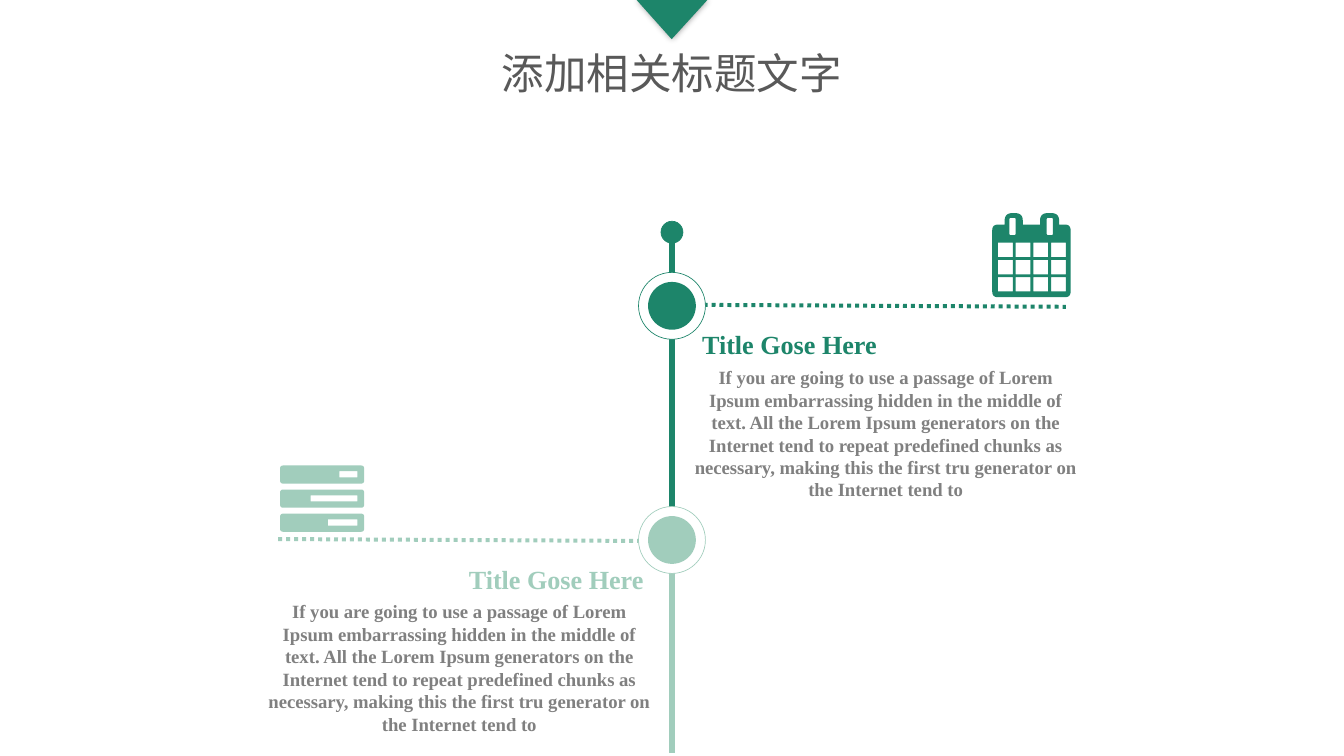
import math
from dataclasses import dataclass

from lxml import etree
from pptx import Presentation
from pptx.dml.color import RGBColor
from pptx.enum.dml import MSO_LINE
from pptx.enum.shapes import MSO_CONNECTOR, MSO_SHAPE
from pptx.enum.text import MSO_ANCHOR, MSO_AUTO_SIZE, PP_ALIGN
from pptx.oxml.ns import qn
from pptx.util import Inches, Pt

OVAL, TRIANGLE = MSO_SHAPE.OVAL, MSO_SHAPE.ISOSCELES_TRIANGLE
STRAIGHT = MSO_CONNECTOR.STRAIGHT
DOTTED = MSO_LINE.ROUND_DOT
CENTER, RIGHT = PP_ALIGN.CENTER, PP_ALIGN.RIGHT
MIDDLE, TOP = MSO_ANCHOR.MIDDLE, MSO_ANCHOR.TOP

COLORS = {
    "dark": "1D856A",
    "light": "A1CDBC",
    "heading": "595959",
    "body": "808080",
    "white": "FFFFFF",
    "shadow": "000000",
}
LATIN, CJK = "Times New Roman", "Noto Sans CJK SC"
DESCRIPTION = (
    "If you are going to use a passage of Lorem Ipsum embarrassing hidden in the "
    "middle of text. All the Lorem Ipsum generators on the Internet tend to repeat "
    "predefined chunks as necessary, making this the first tru generator on the "
    "Internet tend to"
)

# All positions are counted in columns and rows of a square grid.
CELL = Inches(0.1)
AXIS = 70.3
FIRST_ROW, ROW_STEP = 32, 24.5
TRUNK_LENGTH = 20


@dataclass
class Milestone:
    color: str
    branch_left: float
    title_left: float
    body_left: float


@dataclass
class Corner:
    x: float
    y: float
    radius: float = 0


MILESTONES = [
    Milestone("dark", 73.6, 72.2, 72.4),
    Milestone("light", 29.1, 47.8, 27.8),
]


def cells(count: float) -> int:
    return round(count * CELL)


def rgb(name: str) -> RGBColor:
    return RGBColor.from_string(COLORS[name])


def add_line(page, start: tuple, end: tuple, color: str, width: float, dash=None):
    line = page.shapes.add_connector(STRAIGHT, *map(cells, start + end))
    line.line.color.rgb = rgb(color)
    line.line.width = Pt(width)
    if dash is not None:
        line.line.dash_style = dash
    etree.SubElement(line._element.spPr, qn("a:effectLst"))


def paint(shape, fill: str, outline: str | None = None):
    shape.shadow.inherit = False
    shape.fill.solid()
    shape.fill.fore_color.rgb = rgb(fill)
    if outline:
        shape.line.color.rgb = rgb(outline)
        shape.line.width = Pt(0.5)
    else:
        shape.line.fill.background()


def add_disc(page, row: float, size: float, fill: str, outline: str | None = None):
    """Centre a circle on the timeline axis."""
    frame = (AXIS - size / 2, row - size / 2, size, size)
    paint(page.shapes.add_shape(OVAL, *map(cells, frame)), fill, outline)


def write(box, text: str, align, anchor, margins: tuple, wrap: bool, style: dict):
    frame = box.text_frame
    settings = {
        "auto_size": MSO_AUTO_SIZE.NONE,
        "word_wrap": wrap,
        "vertical_anchor": anchor,
        "margin_left": cells(margins[0]),
        "margin_right": cells(margins[0]),
        "margin_top": cells(margins[1]),
        "margin_bottom": cells(margins[1]),
    }
    for name, value in settings.items():
        setattr(frame, name, value)
    para = frame.paragraphs[0]
    para.alignment = align
    span = para.add_run()
    span.text = text
    span.font.color.rgb = rgb(style["color"])
    for name in ("name", "size", "bold"):
        setattr(span.font, name, style[name])
    etree.SubElement(span._r.get_or_add_rPr(), qn("a:ea"), typeface=style["name"])


def rectangle(left: float, top: float, width: float, height: float, radius: float = 0) -> list[Corner]:
    right, bottom = left + width, top + height
    places = ((left, top), (right, top), (right, bottom), (left, bottom))
    return [Corner(x, y, radius) for x, y in places]


def rounded(corners: list[Corner], steps: int = 8) -> list[tuple]:
    """Replace each corner with points along a curve of its radius."""
    points = []
    for index, corner in enumerate(corners):
        if not corner.radius:
            points.append((cells(corner.x), cells(corner.y)))
            continue
        ends = []
        for other in (corners[index - 1], corners[(index + 1) % len(corners)]):
            share = corner.radius / math.dist((corner.x, corner.y), (other.x, other.y))
            ends.append((corner.x + share * (other.x - corner.x), corner.y + share * (other.y - corner.y)))
        (x1, y1), (x2, y2) = ends
        for step in range(steps + 1):
            t = step / steps
            a, b, c = (1 - t) ** 2, 2 * t * (1 - t), t**2
            points.append((cells(a * x1 + b * corner.x + c * x2), cells(a * y1 + b * corner.y + c * y2)))
    return points


def add_icon(page, outlines: list[list[Corner]], holes: list[list[Corner]], color: str):
    contours = [rounded(outline) for outline in outlines]
    contours += [rounded(hole)[::-1] for hole in holes]
    builder = page.shapes.build_freeform(*contours[0][0])
    for index, points in enumerate(contours):
        if index:
            builder.move_to(*points[0])
        builder.add_line_segments(points[1:], close=True)
    paint(builder.convert_to_shape(), color)


def add_calendar(page):
    left, right, top, bottom = 103.8, 112, 23.5, 31.1
    outline = [Corner(left, top, 0.6)]
    for tab_left, tab_right in ((105.1, 107), (108.8, 110.8)):
        outline += [
            Corner(tab_left, top), Corner(tab_left, 22.3, 0.8),
            Corner(tab_right, 22.3, 0.8), Corner(tab_right, top),
        ]
    outline += [Corner(right, top, 0.6), Corner(right, bottom, 0.6), Corner(left, bottom, 0.6)]
    days = [
        rectangle(104.4 + 1.85 * column, 25.4 + 1.8 * row, 1.55, 1.5)
        for row in range(3) for column in range(4)
    ]
    slots = [rectangle(x, 22.8, 0.65, 1.8, 0.15) for x in (105.6, 109.5)]
    add_icon(page, [outline], days + slots, "dark")


def add_server(page):
    tops = [48.7 + 2.52 * row for row in range(3)]
    units = [rectangle(29.3, top, 8.8, 1.9, 0.35) for top in tops]
    slots = [
        rectangle(left, top + 0.6, 37.4 - left, 0.65)
        for left, top in zip((35.5, 32.5, 34.3), tops)
    ]
    add_icon(page, units, slots, "light")


def add_pointer(page):
    pointer = page.shapes.add_shape(TRIANGLE, *map(cells, (66.6, 0, 7.4, 4.1)))
    pointer.rotation = 180
    pointer.adjustments[0] = 0.505
    paint(pointer, "dark")
    effects = pointer._element.spPr.find(qn("a:effectLst"))
    shadow = etree.SubElement(effects, qn("a:outerShdw"), blurRad=str(Pt(5)), dist="0", dir="0")
    color = etree.SubElement(shadow, qn("a:srgbClr"), val=COLORS["shadow"])
    etree.SubElement(color, qn("a:alpha"), val="40000")


def main():
    deck = Presentation()
    deck.slide_width, deck.slide_height = Inches(14.06), Inches(7.91)
    page = deck.slides.add_slide(deck.slide_layouts[5])
    title = page.shapes.title
    for name, value in {"left": 50, "top": 4.5, "width": 40.6, "height": 6.1}.items():
        setattr(title, name, cells(value))
    heading_style = {"name": CJK, "size": Pt(32), "bold": False, "color": "heading"}
    write(title, "添加相关标题文字", CENTER, MIDDLE, (0.7, 0.4), True, heading_style)

    rows = [FIRST_ROW + ROW_STEP * index for index in range(len(MILESTONES))]
    for item, row in zip(MILESTONES, rows):
        branch_end = item.branch_left + 37.9
        add_line(page, (item.branch_left, row - 0.1), (branch_end, row + 0.1), item.color, 3, DOTTED)
        add_line(page, (AXIS, row + 2.3), (AXIS, row + 2.3 + TRUNK_LENGTH), item.color, 4.5)
    add_disc(page, 24.3, 2.3, "dark", "dark")
    add_line(page, (AXIS, 25.4), (AXIS, 30.4), "dark", 4.5)

    body_style = {"name": LATIN, "size": Pt(14.1), "bold": True, "color": "body"}
    for item, row in zip(MILESTONES, rows):
        add_disc(page, row, 7, "white", item.color)
        add_disc(page, row, 5, item.color)
        body = page.shapes.add_textbox(*map(cells, (item.body_left, row + 6.3, 40.5, 14.2)))
        write(body, DESCRIPTION, CENTER, TOP, (0, 0), True, body_style)
        label = page.shapes.add_textbox(*map(cells, (item.title_left, row + 1.9, 20.5, 4.3)))
        label_style = {"name": LATIN, "size": Pt(19.7), "bold": True, "color": item.color}
        write(label, "Title Gose Here", RIGHT, TOP, (1, 0.5), False, label_style)

    add_calendar(page)
    add_server(page)
    add_pointer(page)
    deck.save("out.pptx")


if __name__ == "__main__":
    main()
